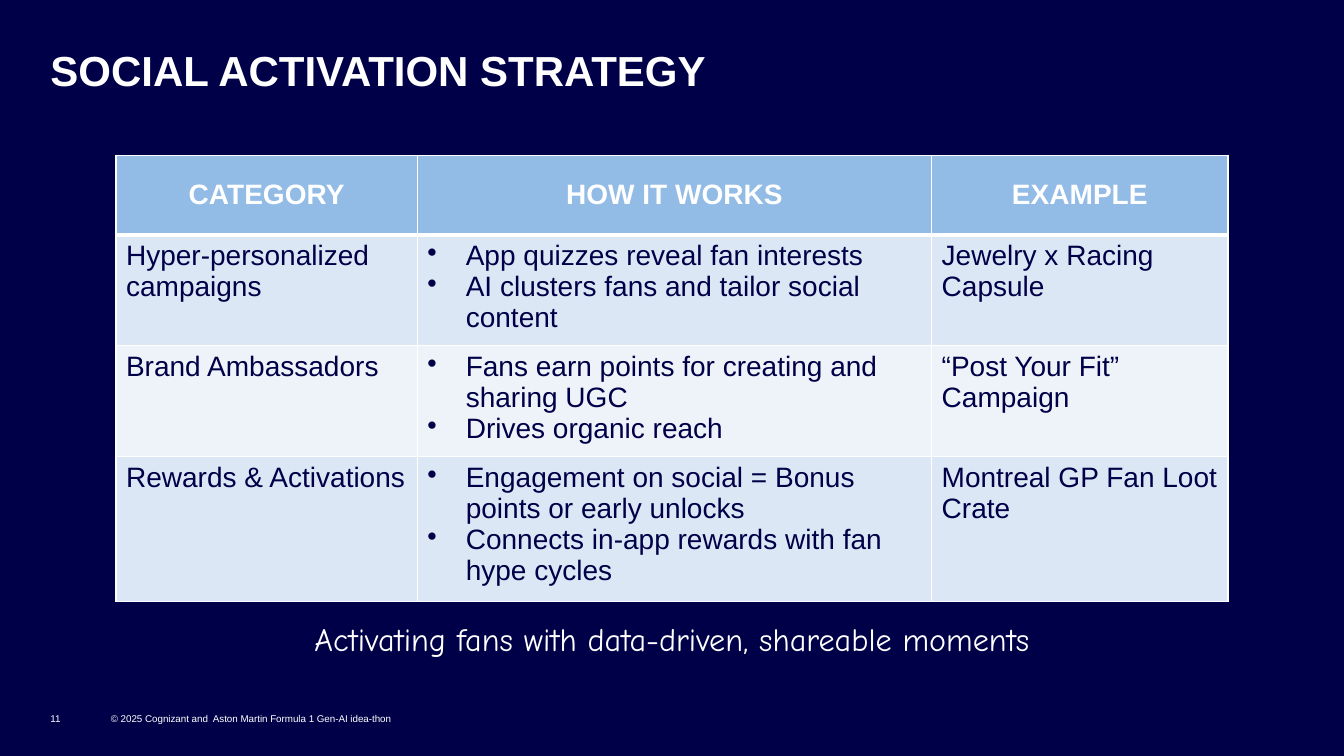
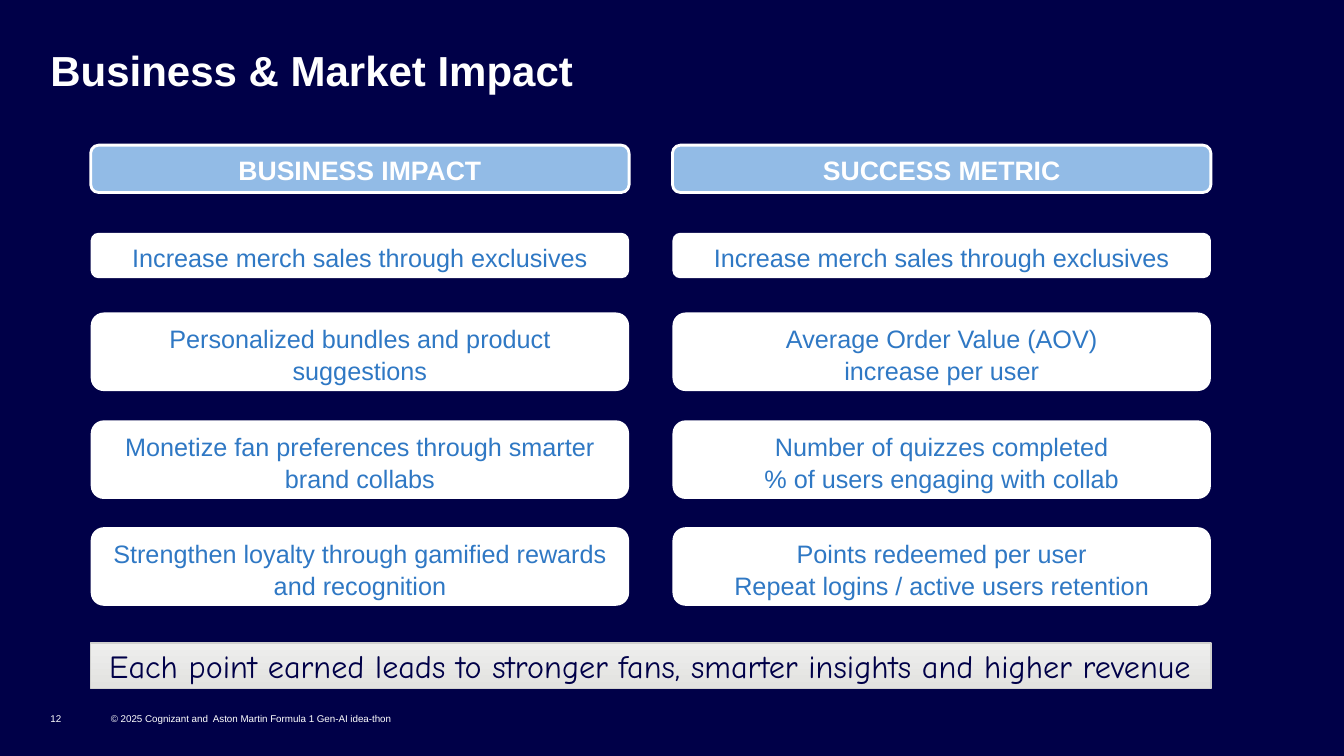
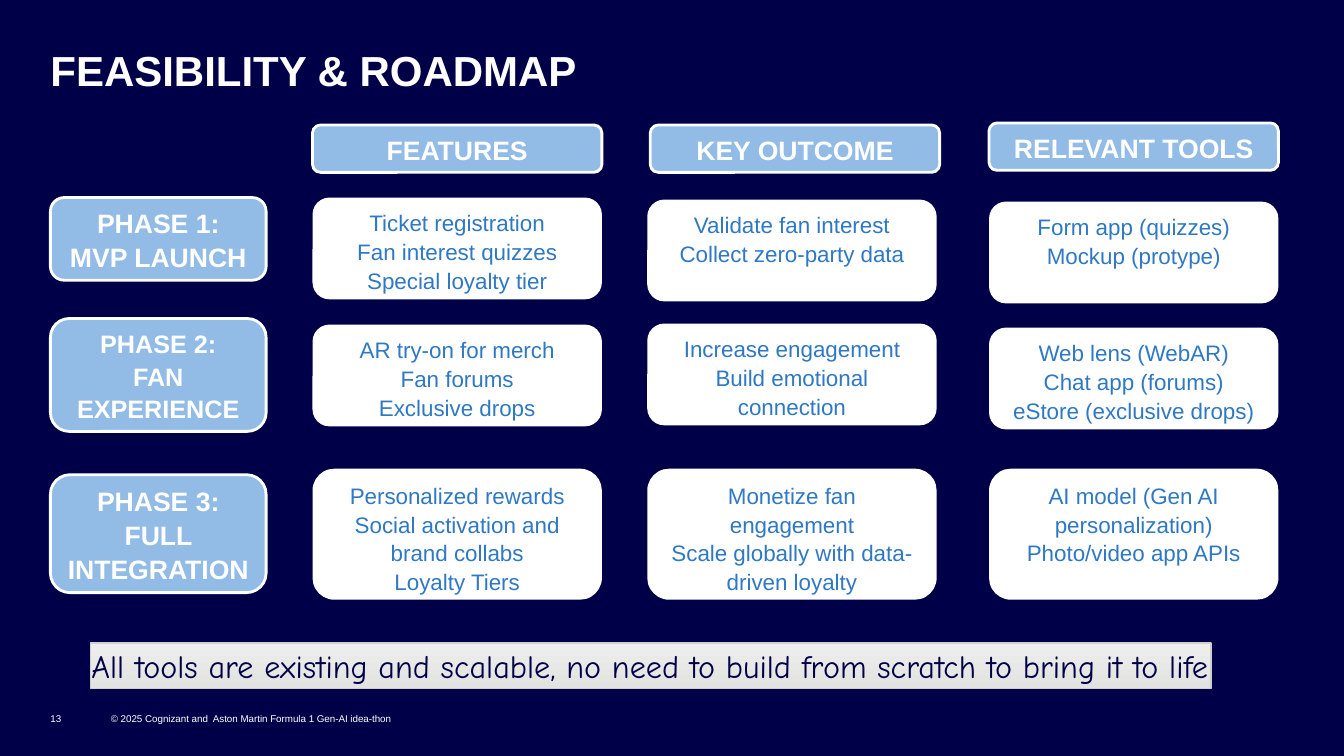
import pptx
import pptx.dml.color
import pptx.enum.shapes
import pptx.enum.text
import pptx.oxml
import pptx.oxml.ns
import pptx.util

Inches = pptx.util.Inches
Pt = pptx.util.Pt
Align = pptx.enum.text.PP_ALIGN
Anchor = pptx.enum.text.MSO_ANCHOR
Shape = pptx.enum.shapes.MSO_SHAPE

HUES = {
    "navy": "000048", "white": "FFFFFF", "sky": "92BBE6", "blue": "2F78C4",
    "band": "DCE7F5", "pale": "EEF3FA", "light": "EEEEED", "dark": "E2E2E0",
    "edge": "D0D0CE",
}
INKS = {name: pptx.dml.color.RGBColor.from_string(code) for name, code in HUES.items()}

# Text and box styles
BARE = {"margin_left": 0, "margin_right": 0, "margin_top": 0, "margin_bottom": 0}
MID = {"vertical_anchor": Anchor.MIDDLE}
TOP = {"vertical_anchor": Anchor.TOP}
TITLE = {"size": 30, "bold": True, "ink": "white", "align": Align.LEFT, "space": 0.9,
         "frame": {**BARE, "vertical_anchor": Anchor.BOTTOM}}
FOOT = {"size": 7, "ink": "white", "align": Align.LEFT, "frame": {**BARE, **MID}}
NOTE = {"size": 23, "ink": "white", "face": "Comic Neue", "frame": {**BARE, **MID}}
STRIP = {**NOTE, "ink": "navy", "kind": Shape.RECTANGLE, "fill": "grade", "line": ("edge", 1)}
HEAD = {"size": 19, "bold": True, "ink": "white", "space": 1.07, "frame": MID,
        "kind": Shape.ROUNDED_RECTANGLE, "fill": "sky", "line": ("white", 2)}
CARD = {"size": 18, "ink": "blue", "space": 1.07, "frame": TOP,
        "kind": Shape.ROUNDED_RECTANGLE, "fill": "white"}
SMALL = {**CARD, "size": 16}
COLHEAD = {"size": 20, "bold": True, "ink": "white"}
CELL = {"size": 20, "ink": "navy", "align": Align.LEFT}
LIST = {**CELL, "bullet": True}


def write(frame, text, look):
    frame.word_wrap = True
    for name, value in look.get("frame", {}).items():
        setattr(frame, name, value)
    for i, line in enumerate(text.split("\n")):
        para = frame.paragraphs[0] if i == 0 else frame.add_paragraph()
        if look.get("bullet"):
            props = para._p.get_or_add_pPr()
            props.set("marL", str(Inches(0.38)))
            props.set("indent", str(-Inches(0.38)))
            mark = pptx.oxml.parse_xml(
                '<a:buChar %s char="•"/>' % pptx.oxml.ns.nsdecls("a"))
            props.append(mark)
        para.alignment = look.get("align", Align.CENTER)
        para.line_spacing = look.get("space", 1.0)
        run = para.add_run()
        run.text = line
        font = {"name": look.get("face", "Arial"), "size": Pt(look["size"]),
                "bold": look.get("bold", False)}
        for name, value in font.items():
            setattr(run.font, name, value)
        run.font.color.rgb = INKS[look["ink"]]


def box(page, at, text, look):
    spot = [Inches(n) for n in at]
    if "kind" not in look:
        write(page.shapes.add_textbox(*spot).text_frame, text, look)
        return
    shape = page.shapes.add_shape(look["kind"], *spot)
    shape.shadow.inherit = False
    if look["fill"] == "grade":
        shape.fill.gradient()
        shape.fill.gradient_angle = 270
        for stop, hue in zip(shape.fill.gradient_stops, ("light", "dark")):
            stop.color.rgb = INKS[hue]
    else:
        shape.fill.solid()
        shape.fill.fore_color.rgb = INKS[look["fill"]]
    if "line" in look:
        hue, width = look["line"]
        shape.line.color.rgb = INKS[hue]
        shape.line.width = Pt(width)
    else:
        shape.line.fill.background()
    write(shape.text_frame, text, look)


deck = pptx.Presentation()
deck.slide_width, deck.slide_height = Inches(13.33), Inches(7.5)
back = deck.slide_master.background.fill
back.solid()
back.fore_color.rgb = INKS["navy"]

# Titles and footers
pages = []
names = ["SOCIAL ACTIVATION STRATEGY", "Business & Market Impact", "FEASIBILITY & ROADMAP"]
for num, name in enumerate(names, 11):
    page = deck.slides.add_slide(deck.slide_layouts[5])
    title = page.shapes.title
    place = {"left": 0.5, "top": 0.5, "width": 12.33, "height": 0.45}
    for side, value in place.items():
        setattr(title, side, Inches(value))
    title.text_frame.auto_size = pptx.enum.text.MSO_AUTO_SIZE.NONE
    write(title.text_frame, name, TITLE)
    box(page, (1.1, 7, 3.66, 0.25),
        "© 2025 Cognizant and  Aston Martin Formula 1 Gen-AI idea-thon", FOOT)
    box(page, (0.5, 7, 0.4, 0.25), str(num), FOOT)
    pages.append(page)
social, market, road = pages

# Strategy table
rows = [
    ("CATEGORY", "HOW IT WORKS", "EXAMPLE"),
    ("Hyper-personalized campaigns",
     "App quizzes reveal fan interests\nAI clusters fans and tailor social content",
     "Jewelry x Racing Capsule"),
    ("Brand Ambassadors",
     "Fans earn points for creating and sharing UGC\nDrives organic reach",
     "“Post Your Fit” Campaign"),
    ("Rewards & Activations",
     "Engagement on social = Bonus points or early unlocks\n"
     "Connects in-app rewards with fan hype cycles",
     "Montreal GP Fan Loot Crate"),
]
wides = [2.99, 5.1, 2.94]
talls = [0.79, 1.03, 1.03, 1.34]
grid = social.shapes.add_table(
    4, 3, Inches(1.15), Inches(1.54), Inches(sum(wides)), Inches(sum(talls))).table
for col, wide in zip(grid.columns, wides):
    col.width = Inches(wide)
for r, (row, tall) in enumerate(zip(rows, talls)):
    grid.rows[r].height = Inches(tall)
    for c, text in enumerate(row):
        cell = grid.cell(r, c)
        props = cell._tc.get_or_add_tcPr()
        for side in "LRTB":
            thick = (r == 0 and side == "B") or (r == 1 and side == "T")
            props.append(pptx.oxml.parse_xml(
                '<a:ln%s %s w="%d"><a:solidFill><a:srgbClr val="%s"/></a:solidFill></a:ln%s>'
                % (side, pptx.oxml.ns.nsdecls("a"), Pt(3 if thick else 1),
                   HUES["white"], side)))
        cell.fill.solid()
        cell.fill.fore_color.rgb = INKS["sky" if r == 0 else "band" if r % 2 else "pale"]
        cell.vertical_anchor = Anchor.MIDDLE if r == 0 else Anchor.TOP
        write(cell.text_frame, text, COLHEAD if r == 0 else LIST if c == 1 else CELL)
box(social, (2.11, 6.02, 9.12, 0.64),
    "Activating fans with data-driven, shareable moments", NOTE)

# Closing strips
ends = [
    (market, "Each point earned leads to stronger fans, smarter insights and higher revenue"),
    (road, "All tools are existing and scalable, no need to build from scratch to bring it to life"),
]
for page, text in ends:
    box(page, (0.9, 6.38, 11.11, 0.45), text, STRIP)

# Impact and metric pairs
pairs = [
    (1.44, 0.47, HEAD, "BUSINESS IMPACT", "SUCCESS METRIC"),
    (2.31, 0.45, CARD, "Increase merch sales through exclusives",
     "Increase merch sales through exclusives"),
    (3.1, 0.78, CARD, "Personalized bundles and product suggestions",
     "Average Order Value (AOV)\nincrease per user"),
    (4.17, 0.78, CARD, "Monetize fan preferences through smarter brand collabs",
     "Number of quizzes completed\n% of users engaging with collab"),
    (5.23, 0.78, CARD, "Strengthen loyalty through gamified rewards and recognition",
     "Points redeemed per user\nRepeat logins / active users retention"),
]
for top, tall, look, *texts in pairs:
    for left, text in zip((0.9, 6.67), texts):
        box(market, (left, top, 5.34, tall), text, look)

# Roadmap phases
phases = [
    (1.96, 0.82, 19, "PHASE 1:\nMVP LAUNCH"),
    (3.16, 1.12, 18, "PHASE 2:\nFAN EXPERIENCE"),
    (4.71, 1.17, 19, "PHASE 3:\nFULL INTEGRATION"),
]
for top, tall, size, text in phases:
    box(road, (0.5, top, 2.14, tall), text, {**HEAD, "size": size})

# Roadmap columns: heading place, card left, then top and text of each card
tracks = [
    (3.1, 1.24, "FEATURES", 3.1, [
        (1.96, "Ticket registration\nFan interest quizzes\nSpecial loyalty tier"),
        (3.22, "AR try-on for merch\nFan forums\nExclusive drops"),
        (4.65, "Personalized rewards\nSocial activation and brand collabs\nLoyalty Tiers")]),
    (6.45, 1.24, "KEY OUTCOME", 6.42, [
        (1.98, "Validate fan interest\nCollect zero-party data"),
        (3.21, "Increase engagement\nBuild emotional connection"),
        (4.65, "Monetize fan engagement\nScale globally with data-driven loyalty")]),
    (9.81, 1.22, "RELEVANT TOOLS", 9.81, [
        (2, "Form app (quizzes)\nMockup (protype)"),
        (3.25, "Web lens (WebAR)\nChat app (forums)\neStore (exclusive drops)"),
        (4.65, "AI model (Gen AI personalization)\nPhoto/video app APIs")]),
]
for x, y, head, left, cards in tracks:
    box(road, (x, y, 2.87, 0.47), head, HEAD)
    for (top, text), tall in zip(cards, (1.01, 1.01, 1.3)):
        box(road, (left, top, 2.87, tall), text, SMALL)

deck.save("out.pptx")
